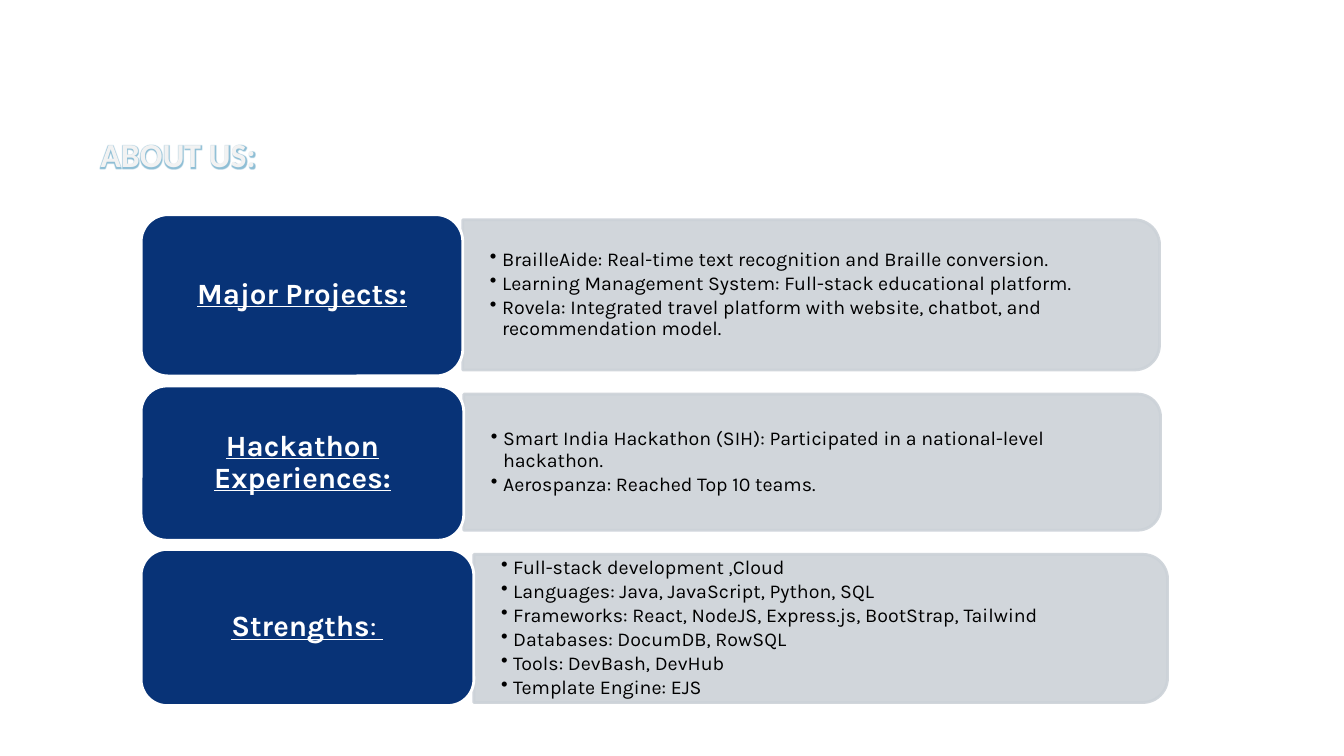
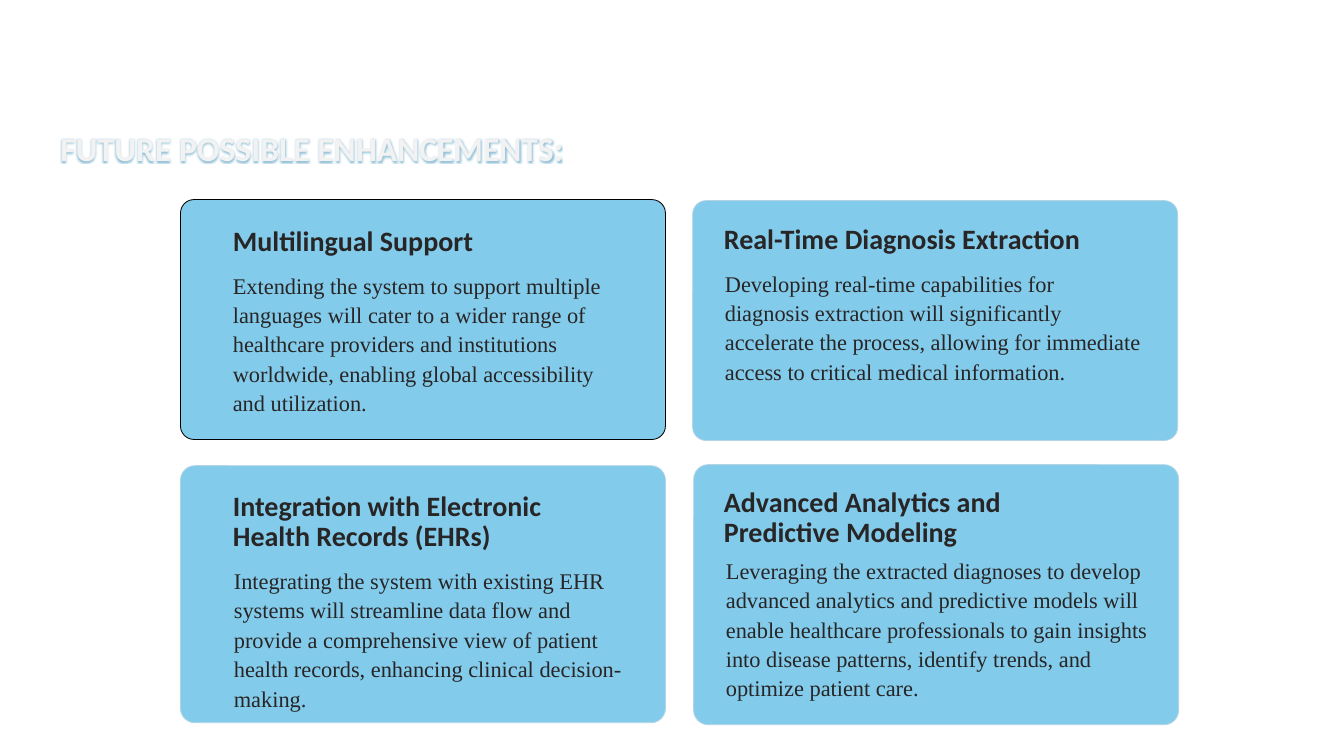
from lxml.etree import SubElement
from pptx import Presentation
from pptx.dml.color import RGBColor
from pptx.enum.shapes import MSO_SHAPE as Preset
from pptx.enum.text import MSO_ANCHOR as Anchor, PP_ALIGN as Align
from pptx.oxml import parse_xml
from pptx.oxml.ns import nsdecls, qn
from pptx.util import Pt

PX = 9144
WHITE = RGBColor(0xFF, 0xFF, 0xFF)
BLACK = RGBColor(0x00, 0x00, 0x00)
NAVY = RGBColor(0x08, 0x33, 0x77)
GREY = RGBColor(0xCC, 0xD2, 0xD8)
SKY = RGBColor(0x83, 0xCB, 0xEB)
SKY_EDGE = RGBColor(0xB2, 0xD4, 0xE5)
INK = RGBColor(0x27, 0x25, 0x25)
PALE = RGBColor(0xF2, 0xF2, 0xF2)
GLOW = RGBColor(0x8F, 0xBF, 0xD6)


def px(value):
    return int(value * PX)


def write(frame, paragraphs, *, size, font, color, bold=False, underline=False,
          align=Align.LEFT, spacing=None, after=0, bullet=False,
          anchor=Anchor.TOP, insets=(0, 0), plain_tail=""):
    frame.word_wrap = True
    frame.vertical_anchor = anchor
    frame.margin_left = frame.margin_right = px(insets[0])
    frame.margin_top = frame.margin_bottom = px(insets[1])
    for index, text in enumerate(paragraphs):
        para = frame.paragraphs[0] if index == 0 else frame.add_paragraph()
        para.alignment = align
        para.line_spacing = spacing
        para.space_after = Pt(after)
        if bullet:
            props = para._p.get_or_add_pPr()
            props.set("marL", str(px(12)))
            props.set("indent", str(px(-12)))
            SubElement(props, qn("a:buChar")).set("char", "•")
        for number, line in enumerate(text.split("\n")):
            if number:
                para.add_line_break()
            for part, heavy in ((line, bold), (plain_tail, False)):
                if part:
                    span = para.add_run()
                    span.text = part
                    span.font.size = Pt(size)
                    span.font.name = font
                    span.font.bold = heavy
                    span.font.underline = underline
                    span.font.color.rgb = color


class Deck:
    HEADING = dict(size=24, font="Calibri", color=PALE, bold=True, insets=(10, 5))
    LABEL = dict(size=21, font="Karla", color=WHITE, bold=True, underline=True,
                 align=Align.CENTER, spacing=0.9, anchor=Anchor.MIDDLE,
                 insets=(17, 12))
    BULLETS = dict(size=14, font="Karla", color=BLACK, spacing=0.9, after=2,
                   bullet=True, anchor=Anchor.MIDDLE, insets=(27, 14))
    CARD_TITLE = dict(size=20, font="Calibri", color=INK, bold=True, spacing=Pt(22))
    CARD_BODY = dict(size=16, font="Times New Roman", color=INK, spacing=Pt(21))

    def __init__(self):
        self.deck = Presentation()
        self.deck.slide_width = px(1333)
        self.deck.slide_height = px(750)
        self.page = None

    def start(self, title, left, top):
        self.page = self.deck.slides.add_slide(self.deck.slide_layouts[6])
        box = self.text([title], left, top, 800, 50, **self.HEADING)
        for fill in list(box._element.iter(qn("a:solidFill"))):
            fill.addnext(parse_xml(
                f'<a:effectLst {nsdecls("a")}><a:glow rad="38100">'
                f'<a:srgbClr val="{GLOW}"/></a:glow></a:effectLst>'))

    def text(self, paragraphs, left, top, width, height, **style):
        box = self.page.shapes.add_textbox(px(left), px(top), px(width), px(height))
        write(box.text_frame, paragraphs, **style)
        return box

    def shape(self, preset, left, top, width, height, fill, edge, weight):
        shape = self.page.shapes.add_shape(
            preset, px(left), px(top), px(width), px(height))
        shape.shadow.inherit = False
        shape.fill.solid()
        shape.fill.fore_color.rgb = fill
        shape.line.color.rgb = edge
        shape.line.width = Pt(weight)
        return shape

    def panel(self, bullets, left, top, width, height):
        shift = (width - height) / 2
        panel = self.shape(Preset.ROUND_2_SAME_RECTANGLE, left + shift, top - shift,
                           height, width, GREY, GREY, 2)
        panel.rotation = 90
        for color in panel._element.spPr.iter(qn("a:srgbClr")):
            SubElement(color, qn("a:alpha")).set("val", "90000")
        self.text(bullets, left, top, width - 7, height, **self.BULLETS)

    def label(self, text, tail, left, top, width, height):
        label = self.shape(Preset.ROUNDED_RECTANGLE, left, top, width, height,
                           NAVY, WHITE, 2)
        write(label.text_frame, [text], plain_tail=tail, **self.LABEL)

    def card(self, title, body, frame, title_at, body_at, body_width, edge):
        card = self.shape(Preset.ROUNDED_RECTANGLE, *frame, SKY, edge, 0.6)
        card.adjustments[0] = 0.056
        self.text([title], *title_at, 400, 50, **self.CARD_TITLE)
        self.text([body], *body_at, body_width, 95, **self.CARD_BODY)


def build_about(deck):
    deck.start("ABOUT US:", 90, 128)
    left = 140
    rows = [
        ("Major Projects:", "", (213, 319, 160), (218, 691, 149), [
            "BrailleAide: Real-time text recognition and Braille conversion.",
            "Learning Management System: Full-stack educational platform.",
            "Rovela: Integrated travel platform with website, chatbot, and "
            "recommendation model."]),
        ("Hackathon Experiences:", "", (383, 320, 153), (391, 691, 135), [
            "Smart India Hackathon (SIH): Participated in a national-level hackathon.",
            "Aerospanza: Reached Top 10 teams."]),
        ("Strengths", ": ", (545, 330, 155), (550, 688, 147), [
            "Full-stack development ,Cloud",
            "Languages: Java, JavaScript, Python, SQL",
            "Frameworks: React, NodeJS, Express.js, BootStrap, Tailwind",
            "Databases: DocumDB, RowSQL",
            "Tools: DevBash, DevHub",
            "Template Engine: EJS"]),
    ]
    for name, tail, label, panel, bullets in rows:
        deck.panel(bullets, left + label[1], *panel)
        deck.label(name, tail, left, *label)


def build_enhancements(deck):
    deck.start("FUTURE POSSIBLE ENHANCEMENTS:", 50, 122)
    width = 481
    cards = [
        ("Multilingual Support",
         "Extending the system to support multiple languages will cater to a wider "
         "range of healthcare providers and institutions worldwide, enabling global "
         "accessibility and utilization.",
         (179, 198, width, 238), (231, 225), (231, 267), 394, BLACK),
        ("Real-Time Diagnosis Extraction",
         "Developing real-time capabilities for diagnosis extraction will "
         "significantly accelerate the process, allowing for immediate access to "
         "critical medical information.",
         (687, 199, width, 238), (718, 223), (719, 265), 416, SKY_EDGE),
        ("Integration with Electronic \nHealth Records (EHRs)",
         "Integrating the system with existing EHR systems will streamline data flow "
         "and provide a comprehensive view of patient health records, enhancing "
         "clinical decision-making.",
         (179, 462, width, 255), (231, 487), (232, 560), 406, SKY_EDGE),
        ("Advanced Analytics and \nPredictive Modeling",
         "Leveraging the extracted diagnoses to develop advanced analytics and "
         "predictive models will enable healthcare professionals to gain insights "
         "into disease patterns, identify trends, and optimize patient care.",
         (688, 461, width, 258), (718, 483), (720, 550), 434, SKY_EDGE),
    ]
    for card in cards:
        deck.card(*card)


def main():
    deck = Deck()
    build_about(deck)
    build_enhancements(deck)
    deck.deck.save("out.pptx")


if __name__ == "__main__":
    main()
